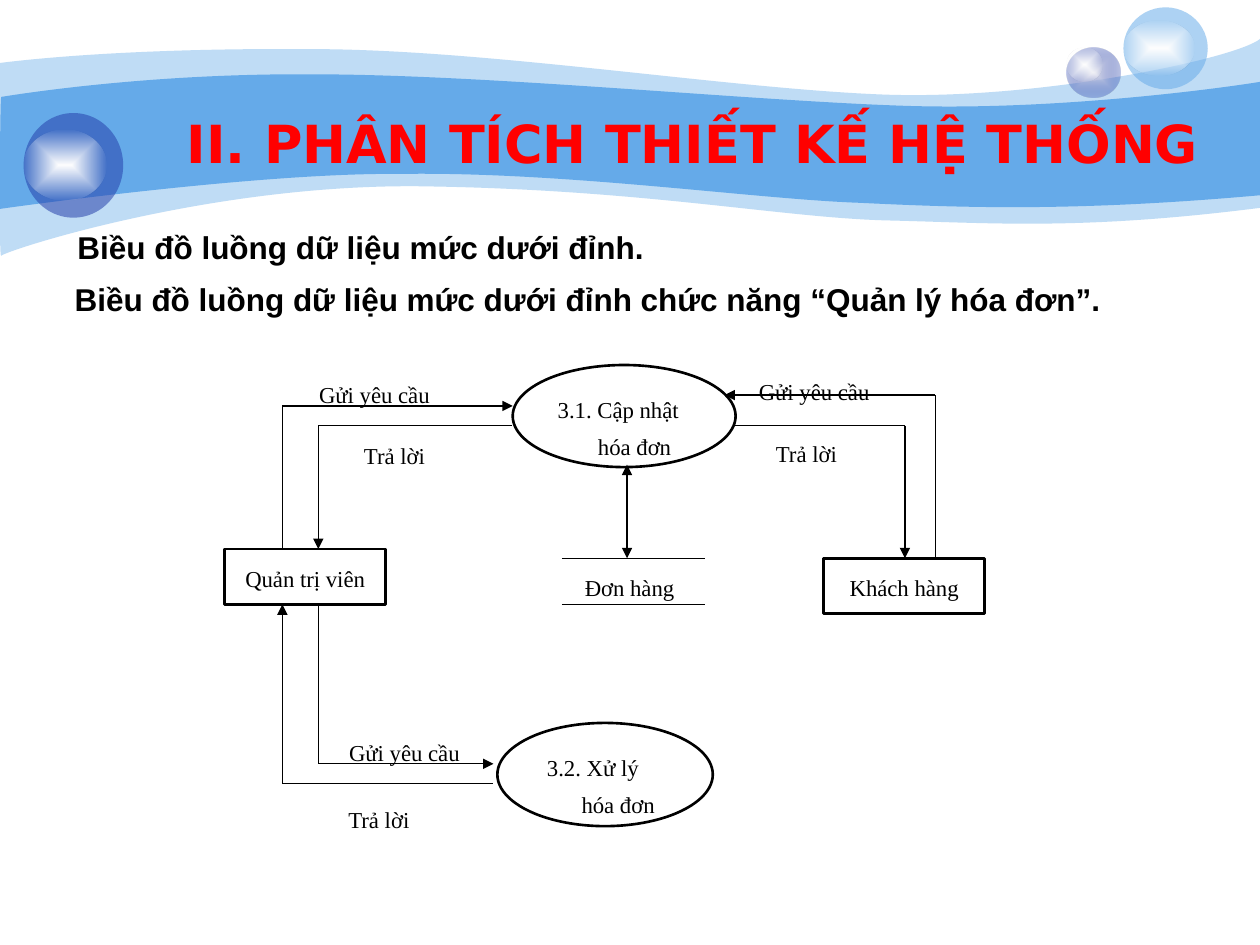
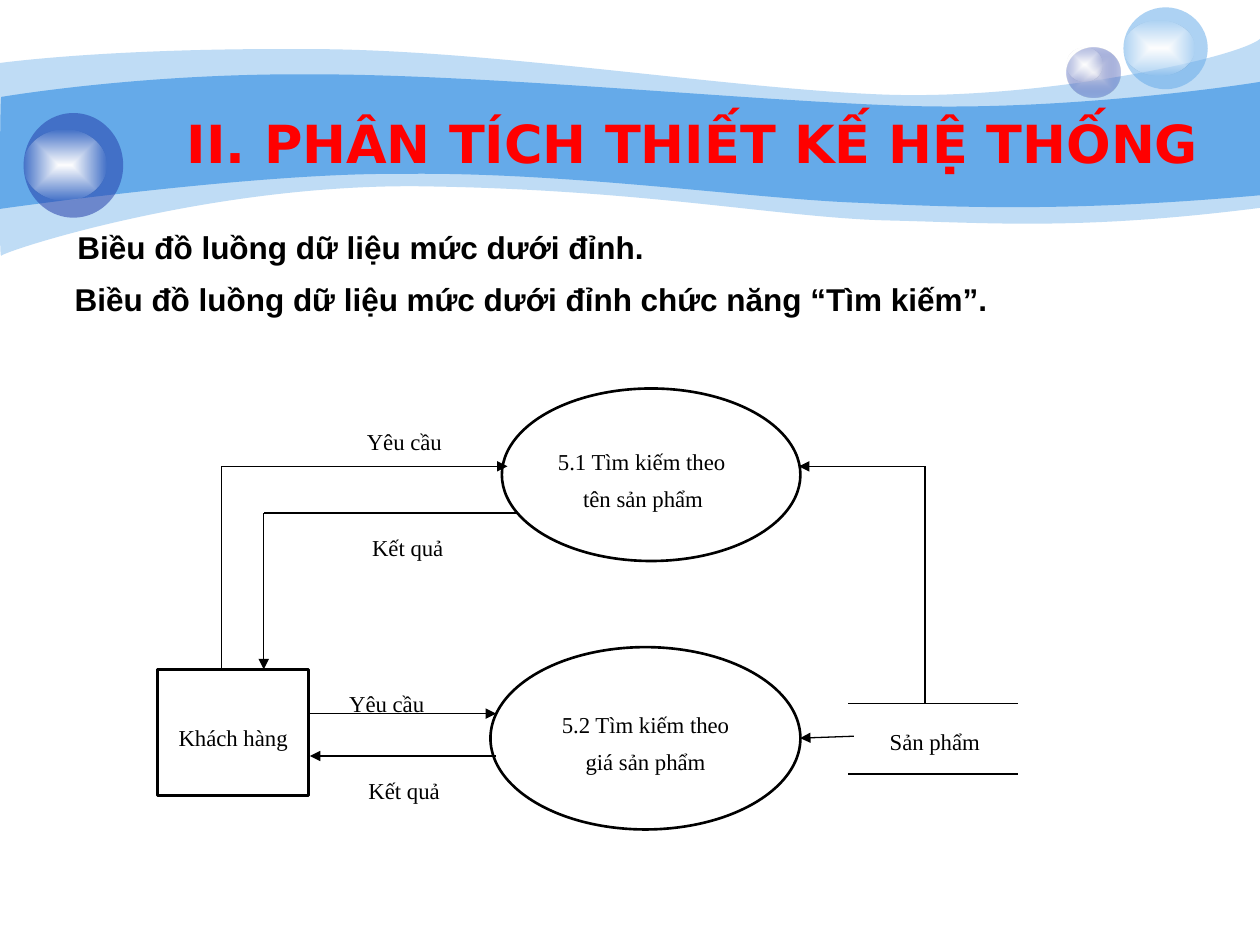
"""Build two slides of data flow diagrams for the invoice and search functions."""
from dataclasses import dataclass
from functools import partial
from itertools import chain, count, pairwise
from typing import NamedTuple, Optional

from lxml.etree import SubElement
from pptx import Presentation
from pptx.dml.color import RGBColor
from pptx.enum.shapes import MSO_CONNECTOR, MSO_SHAPE
from pptx.enum.text import MSO_ANCHOR, MSO_AUTO_SIZE, PP_ALIGN
from pptx.oxml import parse_xml
from pptx.oxml.ns import nsdecls, qn
from pptx.util import Pt

BLACK = RGBColor(0x00, 0x00, 0x00)
WHITE = RGBColor(0xFF, 0xFF, 0xFF)
RED = RGBColor(0xFF, 0x00, 0x00)
SKY = RGBColor(0x65, 0xAA, 0xE9)
NAVY = RGBColor(0x23, 0x3D, 0xA9)
MIST = RGBColor(0xE1, 0xE2, 0xED)

TITLE = "II. PHÂN TÍCH THIẾT KẾ HỆ THỐNG"
SECTION = "Biều đồ luồng dữ liệu mức dưới đỉnh"
RECT, OVAL = MSO_SHAPE.RECTANGLE, MSO_SHAPE.OVAL
LEFT, CENTER = PP_ALIGN.LEFT, PP_ALIGN.CENTER


class Wave(NamedTuple):
    start: tuple
    top: tuple
    bottom_start: tuple
    bottom: tuple
    opacity: int


class Bubble(NamedTuple):
    left: float
    top: float
    width: float
    height: float
    colour: RGBColor
    opacity: int
    centre: Optional[RGBColor] = None


@dataclass(frozen=True)
class Node:
    text: str
    left: float
    top: float
    width: float
    height: float
    shape: MSO_SHAPE = RECT
    fill: Optional[RGBColor] = WHITE
    edge: Optional[RGBColor] = BLACK
    weight: float = 1.5
    align: PP_ALIGN = CENTER
    margin: float = 0
    indent: float = 0


@dataclass(frozen=True)
class Flow:
    points: tuple
    arrow_at_start: bool = False
    arrow_at_end: bool = True


@dataclass(frozen=True)
class Diagram:
    subject: str
    hanging: float
    anchor: MSO_ANCHOR
    nodes: tuple
    flows: tuple


WAVES = (
    Wave((0, 36),
         ((17.3, 33.8, 77, 27.4, 177.8, 28.1), (277.9, 28.1, 414, 50.4, 503.3, 54),
          (591.8, 57.6, 705.6, 33.8, 720, 22.3)),
         (720, 118.8),
         ((617.8, 131.8, 566.6, 127.4, 507.6, 126), (447.8, 124.6, 370.8, 108.7, 247, 106.6),
          (123.8, 103.7, 2.9, 143.3, 0.7, 146.2), (-0.7, 149.8, 0, 54, 0, 36)), 41),
    Wave((0.7, 55.4),
         ((1.4, 55.4, 79.2, 41.8, 178.6, 42.5), (277.9, 42.5, 428.4, 57.6, 517, 60.5),
          (605.5, 63.4, 702.7, 49.7, 720, 46.8)),
         (720, 111.6),
         ((614.2, 121, 550.8, 118.8, 491, 115.9), (431.3, 113.8, 321.8, 97.9, 228.2, 99.4),
          (146.2, 98.6, -1.4, 119.5, -0.7, 119.5), (0, 119.5, 0, 55.4, 0.7, 55.4)), 100),
)

glint = partial(Bubble, colour=WHITE, opacity=0, centre=WHITE)
BUBBLE_PAIRS = (
    (Bubble(609.8, 27.2, 30.2, 28.8, NAVY, 31, MIST), glint(609.8, 27.2, 20.2, 19.4)),
    (Bubble(642, 4.2, 48.2, 46.8, SKY, 53), glint(642, 12.1, 40.3, 31)),
    (Bubble(13.5, 64.6, 56.9, 59.8, NAVY, 53), glint(13.5, 74.2, 47.5, 40.3)),
)

note = partial(Node, edge=WHITE, weight=0.75, align=LEFT)
request = partial(note, "Gửi yêu cầu")
reply = partial(note, "Trả lời", width=59, height=24.5)
query = partial(Node, "Yêu cầu", height=33.8, edge=None)
result = partial(Node, "Kết quả", height=33.8, edge=None)
process = partial(Node, shape=OVAL, align=LEFT)
rule = partial(Flow, arrow_at_end=False)

INVOICE = Diagram(
    "Quản lý hóa đơn", 0, MSO_ANCHOR.TOP,
    (
        reply(left=192, top=451.4),
        reply(left=200.9, top=243.4),
        reply(left=436.3, top=242.6),
        request(175.2, 208.8, 95, 28),
        request(192.4, 413.3, 84.2, 23.8),
        request(426.5, 207.1, 85, 23.8),
        note("Đơn hàng", 318.7, 319, 82, 26, align=CENTER),
        process("3.1. Cập nhật hóa đơn", 293, 208.6, 127.4, 58.3,
                fill=None, margin=23, indent=-23),
        process(" 3.2. Xử lý hóa đơn", 284.2, 413.1, 123.1, 59,
                fill=None, margin=23, indent=-23),
        Node("Quản trị viên", 128.2, 313.7, 92.2, 31.7),
        Node("Khách hàng", 470.5, 319, 92.2, 31.7),
    ),
    (
        rule(((321.1, 319), (402.8, 319))),
        rule(((321.1, 345.4), (402.8, 345.4))),
        Flow(((161.4, 313.7), (161.4, 232), (293, 232))),
        Flow(((292.5, 243.2), (181.9, 243.2), (181.9, 313.7))),
        Flow(((181.9, 345.4), (181.9, 436.5), (282, 436.5))),
        Flow(((281.7, 447.7), (161.4, 447.7), (161.4, 345.4))),
        Flow(((358.3, 265.5), (358.3, 319)), arrow_at_start=True),
        Flow(((534.4, 319), (534.4, 225.8), (414, 225.8))),
        Flow(((419.9, 243.2), (517.1, 243.2), (517.1, 319))),
    ),
)

SEARCH = Diagram(
    "Tìm kiếm", 58.3, MSO_ANCHOR.MIDDLE,
    (
        query(left=185.6, top=382.3, width=70.6),
        query(left=196.8, top=232.6, width=68.4),
        result(left=196.7, top=432, width=68.4),
        result(left=196.6, top=293, width=72.7),
        Node("Sản phẩm", 488, 402, 92.2, 37.4, edge=WHITE, weight=2),
        process("5.1 Tìm kiếm theo tên sản phẩm", 286.8, 222, 170.6, 98.6,
                margin=14.4, indent=-14.4),
        process("5.2 Tìm kiếm theo giá sản phẩm", 280.3, 369.8, 177.1, 104.2,
                align=CENTER, indent=-7.2),
        Node("Khách hàng", 90, 382.5, 86.4, 72),
    ),
    (
        rule(((484.6, 402), (581.8, 402))),
        rule(((484.6, 442.3), (581.8, 442.3))),
        Flow(((528.6, 402), (528.6, 266.5), (456.5, 266.5))),
        Flow(((488, 420.7), (457.2, 421.8))),
        Flow(((126.6, 382.5), (126.6, 266.5), (290, 266.5))),
        Flow(((295.4, 293.2), (150.7, 293.2), (150.7, 382.5))),
        Flow(((177.1, 407.8), (283.5, 407.8))),
        Flow(((283.5, 432), (177.1, 432))),
    ),
)


def add_run(paragraph, text: str, font_name: str, size: float, colour: RGBColor, bold: bool = False) -> None:
    run = paragraph.add_run()
    run.text = text
    run.font.name, run.font.size, run.font.bold = font_name, Pt(size), bold
    run.font.color.rgb = colour


def set_indent(paragraph, margin: float, indent: float) -> None:
    properties = paragraph._p.get_or_add_pPr()
    properties.set("marL", str(Pt(margin)))
    properties.set("indent", str(Pt(indent)))


def fill_translucent(shape, colour: RGBColor, opacity: int) -> None:
    shape.fill.solid()
    shape.fill.fore_color.rgb = colour
    if opacity < 100:
        tone = shape.element.spPr.find(".//" + qn("a:srgbClr"))
        SubElement(tone, qn("a:alpha"), val=str(opacity * 1000))


def fill_radial(shape, centre: RGBColor, rim: RGBColor, opacity: int) -> None:
    shape.fill.background()
    properties = shape.element.spPr
    properties.replace(properties.find(qn("a:noFill")), parse_xml(
        f'<a:gradFill {nsdecls("a")} rotWithShape="1"><a:gsLst>'
        f'<a:gs pos="0"><a:srgbClr val="{centre}"/></a:gs>'
        f'<a:gs pos="100000"><a:srgbClr val="{rim}"><a:alpha val="{opacity * 1000}"/></a:srgbClr></a:gs>'
        '</a:gsLst><a:path path="shape"><a:fillToRect l="50000" t="50000" r="50000" b="50000"/></a:path>'
        '</a:gradFill>'))


def draw_wave(slide, wave: Wave):
    numbers = [Pt(n) for n in chain(*wave.top, wave.bottom_start, *wave.bottom)]
    builder = slide.shapes.build_freeform(*map(Pt, wave.start), scale=1.0)
    builder.add_line_segments(list(zip(numbers[::2], numbers[1::2])), close=True)
    band = builder.convert_to_shape()
    band.shadow.inherit = False
    fill_translucent(band, SKY, wave.opacity)
    band.line.fill.background()
    outline = band.element.spPr.find(".//" + qn("a:path"))
    controls = outline.findall(qn("a:lnTo"))
    del controls[3 * len(wave.top)]
    for curve, *others in zip(controls[::3], controls[1::3], controls[2::3]):
        curve.tag = qn("a:cubicBezTo")
        for other in others:
            curve.append(other[0])
            outline.remove(other)
    return band


def draw_bubbles(slide, pair: tuple):
    cluster = slide.shapes.add_group_shape()
    for bubble in pair:
        ball = cluster.shapes.add_shape(OVAL, *map(Pt, bubble[:4]))
        ball.shadow.inherit = False
        if bubble.centre is None:
            fill_translucent(ball, bubble.colour, bubble.opacity)
        else:
            fill_radial(ball, bubble.centre, bubble.colour, bubble.opacity)
        ball.line.fill.background()
    return cluster


def decorate_master(deck, slide) -> None:
    """Draw the shared bands and bubbles and move them behind the master's placeholders."""
    decor = [draw_wave(slide, wave) for wave in WAVES]
    decor += [draw_bubbles(slide, pair) for pair in BUBBLE_PAIRS]
    identifiers = count(101)
    for position, part in enumerate(decor, 2):
        for properties in part.element.iter(qn("p:cNvPr")):
            properties.set("id", str(next(identifiers)))
        deck.slide_master.shapes.element.insert(position, part.element)


def draw_title(slide) -> None:
    title = slide.shapes.title
    title.left, title.top, title.width, title.height = Pt(36), Pt(59.8), Pt(720), Pt(43.9)
    frame = title.text_frame
    frame.word_wrap, frame.vertical_anchor = True, MSO_ANCHOR.TOP
    frame.auto_size = MSO_AUTO_SIZE.SHAPE_TO_FIT_TEXT
    frame.paragraphs[0].alignment = CENTER
    add_run(frame.paragraphs[0], TITLE, "DejaVu Sans", 30, RED, bold=True)
    title.element.getparent().append(title.element)


def draw_heading(slide, text: str, left: float, top: float, width: float, hanging: float = 0) -> None:
    heading = slide.shapes.add_textbox(Pt(left), Pt(top), Pt(width), Pt(31.5))
    frame = heading.text_frame
    frame.word_wrap, frame.auto_size = True, MSO_AUTO_SIZE.SHAPE_TO_FIT_TEXT
    paragraph = frame.paragraphs[0]
    paragraph.level = 1
    set_indent(paragraph, 36 + hanging, -hanging)
    add_run(paragraph, " ", "Arial", 20, BLACK, bold=True)
    add_run(paragraph, text, "Arial", 18, BLACK, bold=True)


def draw_node(chart, node: Node, anchor: MSO_ANCHOR) -> None:
    box = chart.shapes.add_shape(node.shape, Pt(node.left), Pt(node.top), Pt(node.width), Pt(node.height))
    box.shadow.inherit = False
    if node.fill is None:
        box.fill.background()
    else:
        fill_translucent(box, node.fill, 100)
    if node.edge is None:
        box.line.fill.background()
    else:
        box.line.color.rgb, box.line.width = node.edge, Pt(node.weight)
    frame = box.text_frame
    frame.word_wrap, frame.vertical_anchor = True, anchor
    paragraph = frame.paragraphs[0]
    paragraph.alignment, paragraph.line_spacing, paragraph.space_before = node.align, 1.35, Pt(3)
    set_indent(paragraph, node.margin, node.indent)
    add_run(paragraph, node.text, "Times New Roman", 13, BLACK)


def draw_flow(chart, flow: Flow) -> None:
    legs = list(pairwise(flow.points))
    for number, (begin, end) in enumerate(legs, 1):
        leg = chart.shapes.add_connector(MSO_CONNECTOR.STRAIGHT, *map(Pt, begin + end))
        leg.line.color.rgb, leg.line.width = BLACK, Pt(0.75)
        properties = leg.element.spPr
        stroke = properties.find(qn("a:ln"))
        if flow.arrow_at_start and number == 1:
            SubElement(stroke, qn("a:headEnd"), type="triangle")
        if flow.arrow_at_end and number == len(legs):
            SubElement(stroke, qn("a:tailEnd"), type="triangle")
        SubElement(properties, qn("a:effectLst"))


def fill_slide(slide, diagram: Diagram) -> None:
    draw_heading(slide, f"{SECTION}.", -4.4, 124.6, 430.6)
    draw_heading(slide, f"{SECTION} chức năng “{diagram.subject}”.", -6, 154.5, 714.2, diagram.hanging)
    chart = slide.shapes.add_group_shape()
    for node in diagram.nodes:
        draw_node(chart, node, diagram.anchor)
    for flow in diagram.flows:
        draw_flow(chart, flow)
    draw_title(slide)


deck = Presentation()
deck.slide_width, deck.slide_height = Pt(720), Pt(540)
slides = [deck.slides.add_slide(deck.slide_layouts[5]) for _ in range(2)]
decorate_master(deck, slides[0])
for slide, diagram in zip(slides, (INVOICE, SEARCH)):
    fill_slide(slide, diagram)
deck.save("out.pptx")
